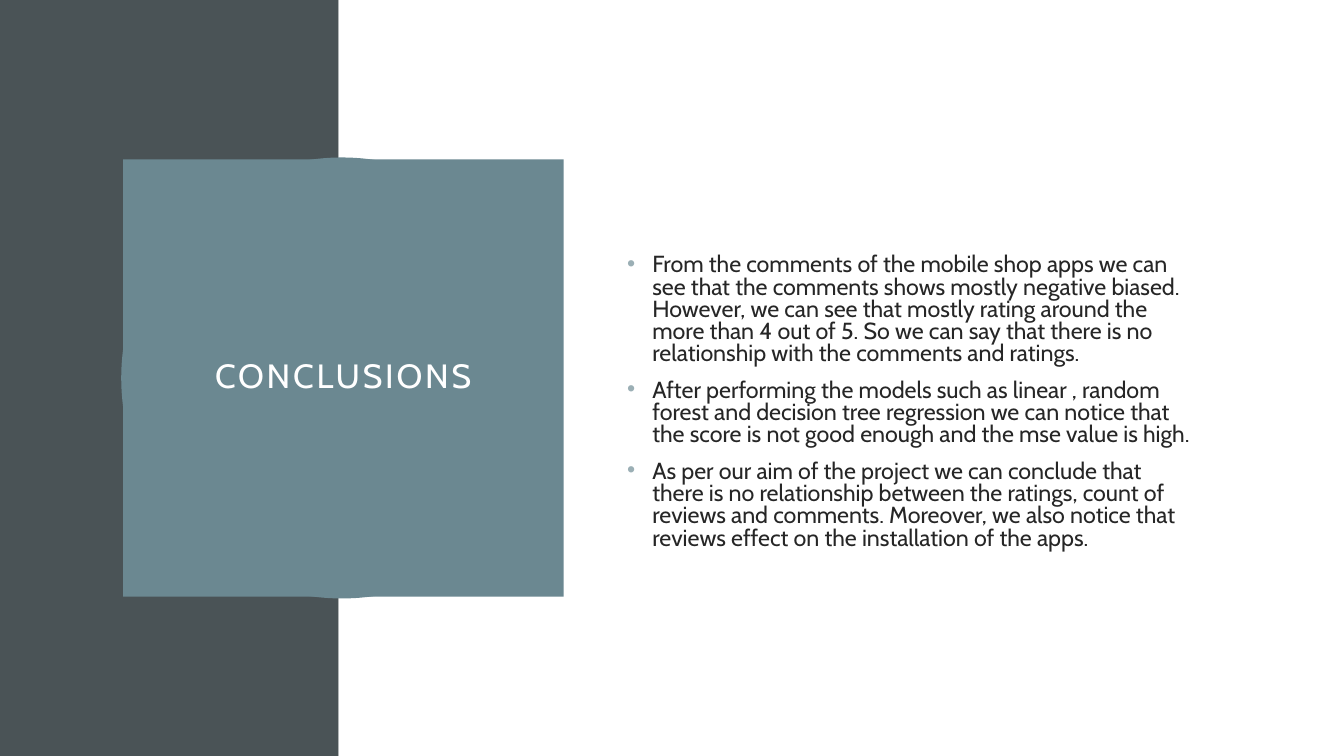
from lxml.etree import SubElement as add_element
from pptx import Presentation
from pptx.dml.color import RGBColor as Rgb
from pptx.enum.shapes import MSO_SHAPE as Shape
from pptx.enum.text import MSO_ANCHOR as Anchor, MSO_AUTO_SIZE as AutoSize, PP_ALIGN as Align
from pptx.oxml.ns import qn
from pptx.util import Inches, Pt

COLORS = {
    "slate": "4A5356",
    "teal": "6B8891",
    "bullet": "9BAFB5",
    "ink": "262626",
    "white": "FFFFFF",
}

FINDINGS = [
    "From the comments of the mobile shop apps we can see that the comments shows mostly "
    "negative biased. However, we can see that mostly rating around the more than 4 out of 5. "
    "So we can say that there is no relationship with the comments and ratings.",
    "After performing the models such as linear , random forest and decision tree regression "
    "we can notice that the score is not good enough and the mse value is high.",
    "As per our aim of the project we can conclude that there is no relationship between the "
    "ratings, count of reviews and comments. Moreover, we also notice that reviews effect on "
    "the installation of the apps.",
]


def apply(target, values):
    for name, value in values.items():
        setattr(target, name, value)


class SlideBuilder:
    """Holds the style and the current slide."""

    font = "Cabin"

    def __init__(self, slide):
        self.slide = slide

    def color(self, name):
        return Rgb.from_string(COLORS[name])

    def place(self, item, box):
        apply(item, dict(zip(("left", "top", "width", "height"), map(Inches, box))))

    def fill(self, item, name):
        item.fill.solid()
        item.fill.fore_color.rgb = self.color(name)

    def shape(self, kind, box, fill, outline=None, weight=0):
        item = self.slide.shapes.add_shape(kind, *map(Inches, box))
        item.shadow.inherit = False
        self.fill(item, fill)
        if outline:
            item.line.color.rgb = self.color(outline)
            item.line.width = Pt(weight)
        else:
            item.line.fill.background()

    def style_text(self, font, size, color):
        apply(font, {"name": self.font, "size": Pt(size), "bold": False})
        font.color.rgb = self.color(color)

    def frame(self, holder, margins):
        sides = ("margin_left", "margin_top", "margin_right", "margin_bottom")
        apply(holder.text_frame, {
            "word_wrap": True,
            "auto_size": AutoSize.NONE,
            "vertical_anchor": Anchor.MIDDLE,
            **dict(zip(sides, map(Inches, margins))),
        })
        return holder.text_frame

    def title(self, text, box, fill):
        heading = self.slide.shapes.title
        self.place(heading, box)
        self.fill(heading, fill)
        # Bring the title in front of the panels and the ring
        self.slide.shapes._spTree.append(heading._element)
        paragraph = self.frame(heading, [0.2] * 4).paragraphs[0]
        apply(paragraph, {"alignment": Align.CENTER, "line_spacing": 0.9})
        run = paragraph.add_run()
        run.text = text
        self.style_text(run.font, 24, "white")
        run.font._element.set("spc", "200")

    def bullets(self, items, box, margins):
        body = self.slide.placeholders[1]
        self.place(body, box)
        text_frame = self.frame(body, margins)
        for index, item in enumerate(items):
            paragraph = text_frame.add_paragraph() if index else text_frame.paragraphs[0]
            self.bullet(paragraph)
            apply(paragraph, {
                "text": item,
                "alignment": Align.LEFT,
                "line_spacing": 0.8,
                "space_before": Pt(10 if index else 0),
                "space_after": Pt(0),
            })
            self.style_text(paragraph.font, 16.6, "ink")

    def bullet(self, paragraph):
        properties = paragraph._p.get_or_add_pPr()
        properties.set("marL", str(Inches(0.25)))
        properties.set("indent", str(-Inches(0.25)))
        tint = add_element(properties, qn("a:buClr"))
        add_element(tint, qn("a:srgbClr"), val=COLORS["bullet"])
        add_element(properties, qn("a:buFont"), typeface="Arial")
        add_element(properties, qn("a:buChar"), char="•")


def main():
    deck = Presentation()
    apply(deck, {"slide_width": Inches(13.33), "slide_height": Inches(7.5)})
    builder = SlideBuilder(deck.slides.add_slide(deck.slide_layouts[1]))

    # Side band and main panel
    builder.shape(Shape.RECTANGLE, (0, 0, 3.36, 7.5), "slate")
    builder.shape(Shape.RECTANGLE, (3.36, 0, 9.97, 7.5), "white")

    # Ring behind the title block
    builder.shape(Shape.OVAL, (1.22, 1.58, 4.34, 4.34), "white", "teal", 2.5)
    builder.title("CONCLUSIONS", (1.22, 1.58, 4.37, 4.34), "teal")

    # Findings, set a little below the middle
    body = builder.slide.placeholders[1]
    builder.slide.shapes._spTree.append(body._element)
    builder.bullets(FINDINGS, (6.12, 1.53, 5.82, 4.43), (0.1, 0.55, 0.1, 0.05))

    deck.save("out.pptx")


if __name__ == "__main__":
    main()
